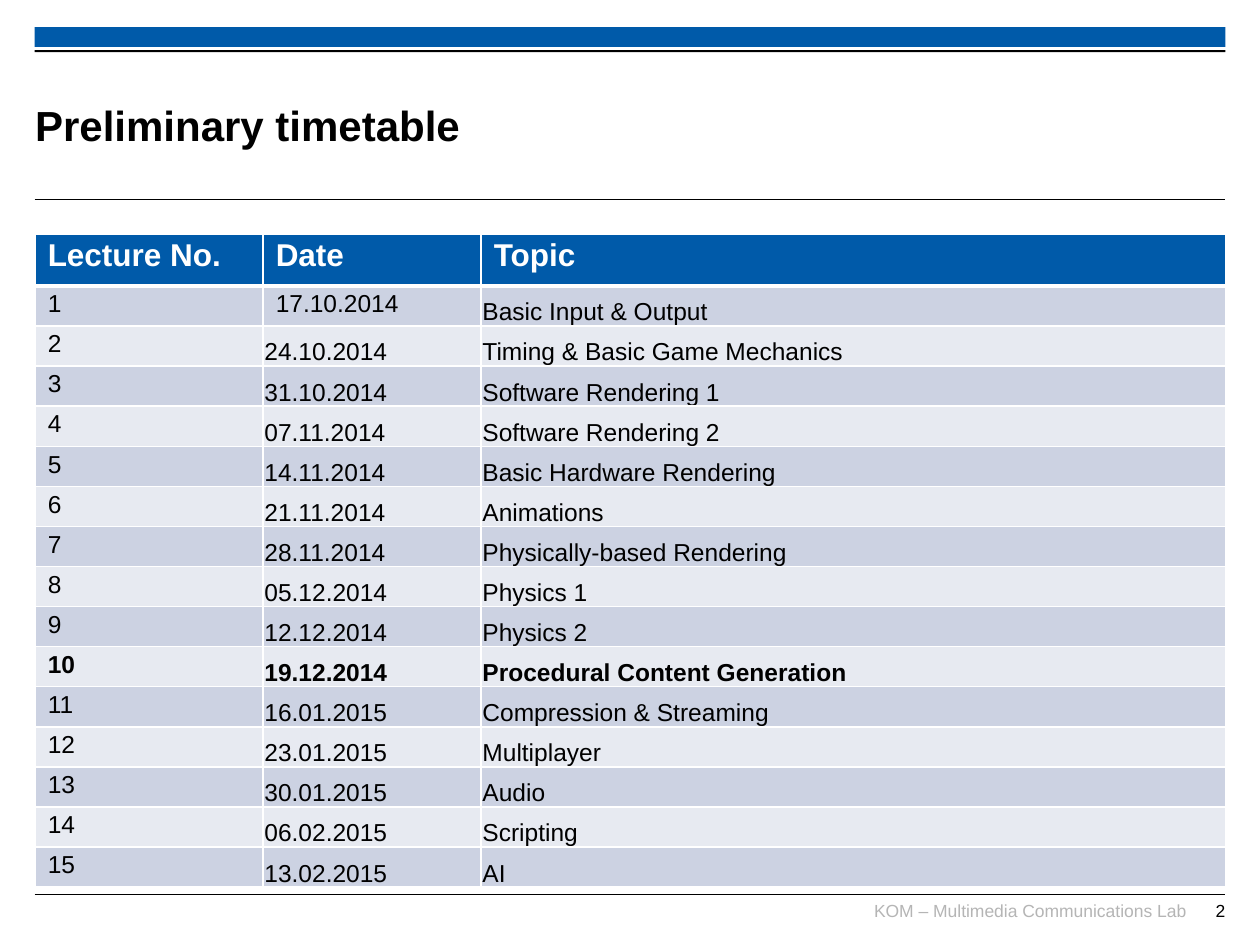
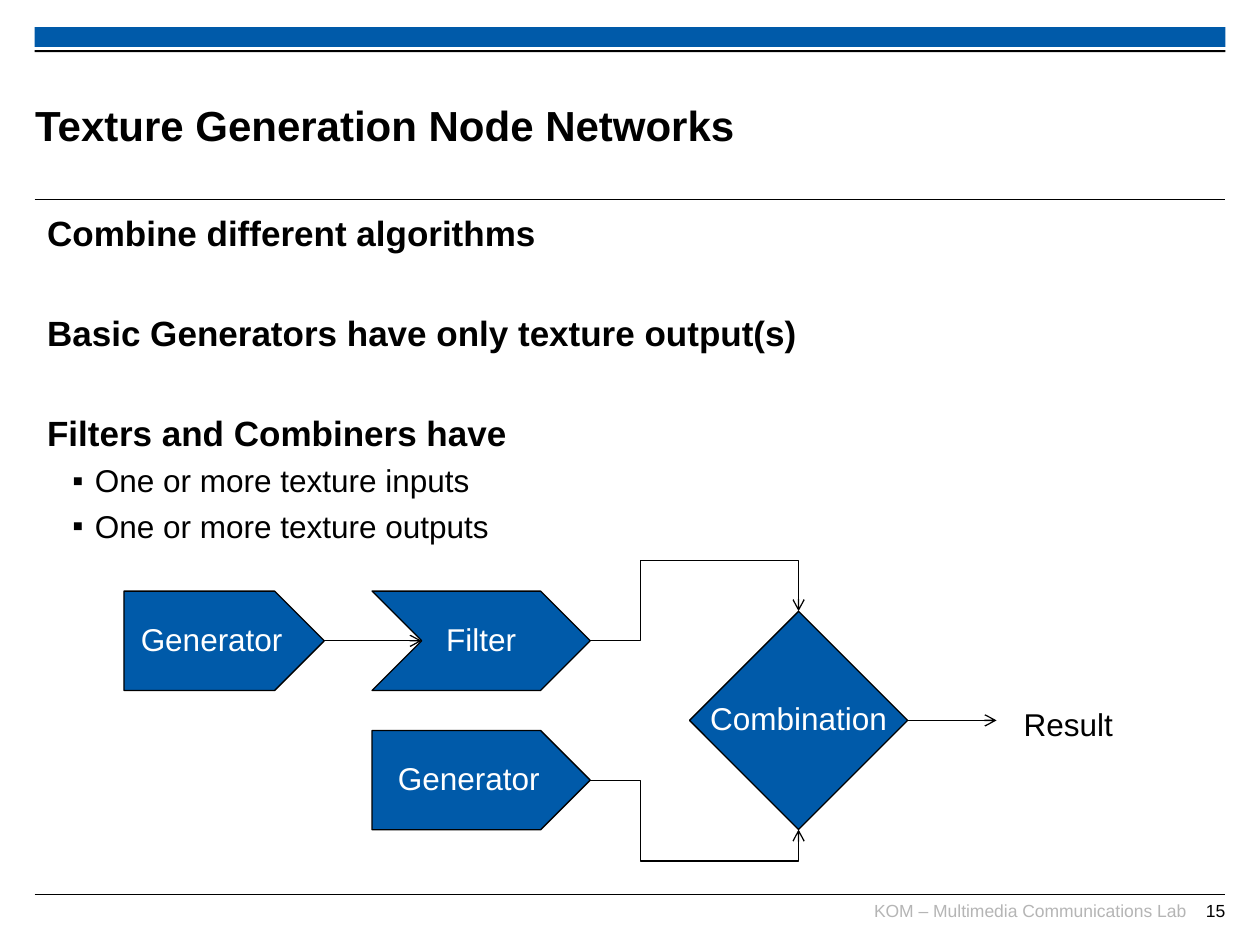
"""Build two lecture slides: a timetable and a texture node network."""
from dataclasses import dataclass

from lxml import etree
from pptx import Presentation
from pptx import util as u
from pptx.dml import color
from pptx.enum import shapes, text
from pptx.oxml import ns


@dataclass(frozen=True)
class Theme:
    font: str = "Arial"
    blue: str = "005AA9"
    black: str = "000000"
    white: str = "FFFFFF"
    grey: str = "B5B5B5"
    bands: tuple = ("CCD2E2", "E7EAF1")
    title_size: float = 24
    heading_size: float = 20
    label_size: float = 18
    cell_size: float = 14
    footer_size: float = 10
    tight: float = 0.93
    left: float = 19.8
    width: float = 680.4


THEME = Theme()
SHAPE = shapes.MSO_SHAPE
ALIGN = text.PP_ALIGN
ANCHOR = text.MSO_ANCHOR
TOP, LEFT, BOTTOM, RIGHT = range(4)

TOPICS = [
    ("17.10.2014", "Basic Input & Output"),
    ("24.10.2014", "Timing & Basic Game Mechanics"),
    ("31.10.2014", "Software Rendering 1"),
    ("07.11.2014", "Software Rendering 2"),
    ("14.11.2014", "Basic Hardware Rendering"),
    ("21.11.2014", "Animations"),
    ("28.11.2014", "Physically-based Rendering"),
    ("05.12.2014", "Physics 1"),
    ("12.12.2014", "Physics 2"),
    ("19.12.2014", "Procedural Content Generation"),
    ("16.01.2015", "Compression & Streaming"),
    ("23.01.2015", "Multiplayer"),
    ("30.01.2015", "Audio"),
    ("06.02.2015", "Scripting"),
    ("13.02.2015", "AI"),
]
CURRENT_LECTURE = 10


def points(*values):
    return [u.Pt(value) for value in values]


def rgb(value):
    return color.RGBColor.from_string(value)


def add_child(parent, tag, **attributes):
    return etree.SubElement(parent, ns.qn(tag), **attributes)


def write(frame, content, size=THEME.label_size, ink=THEME.black, bold=False,
          align=ALIGN.LEFT, before=0, spacing=None, bullet=None):
    """Fill the frame's empty first paragraph, or append another one."""
    para = frame.paragraphs[0]
    if para.runs:
        para = frame.add_paragraph()
    if bullet:
        para.level = 1
        properties = para._p.get_or_add_pPr()
        properties.set("marL", str(u.Pt(27.36)))
        properties.set("indent", str(u.Pt(-12.96)))
        add_child(properties, "a:buFont", typeface=THEME.font)
        add_child(properties, "a:buChar", char=bullet)
    para.alignment = align
    para.space_before = u.Pt(before)
    if spacing:
        para.line_spacing = spacing
    span = para.add_run()
    span.text = content
    span.font.name = THEME.font
    span.font.size = u.Pt(size)
    span.font.bold = bold
    span.font.color.rgb = rgb(ink)


def add_box(page, place, inset=True, wrap=True, anchor=ANCHOR.TOP):
    frame = page.shapes.add_textbox(*points(*place)).text_frame
    frame.word_wrap = wrap
    frame.vertical_anchor = anchor
    if not inset:
        frame.margin_left = frame.margin_right = 0
        frame.margin_top = frame.margin_bottom = 0
    return frame


def add_shape(page, kind, place, fill, outline=None):
    shape = page.shapes.add_shape(kind, *points(*place))
    shape.shadow.inherit = False
    shape.fill.solid()
    shape.fill.fore_color.rgb = rgb(fill)
    if outline:
        shape.line.color.rgb = rgb(THEME.black)
        shape.line.width = u.Pt(outline)
    else:
        shape.line.fill.background()
    return shape


def add_line(page, start, end, width=0.75, kind=shapes.MSO_CONNECTOR.STRAIGHT, arrow=False):
    line = page.shapes.add_connector(kind, *points(*start, *end))
    line.line.color.rgb = rgb(THEME.black)
    line.line.width = u.Pt(width)
    properties = line._element.spPr
    if arrow:
        add_child(properties.find(ns.qn("a:ln")), "a:tailEnd", type="arrow")
    add_child(properties, "a:effectLst")
    return line


def add_node(page, kind, place, label):
    node = add_shape(page, kind, place, THEME.blue, outline=0.75)
    frame = node.text_frame
    frame.word_wrap = False
    frame.vertical_anchor = ANCHOR.MIDDLE
    write(frame, label, ink=THEME.white, align=ALIGN.CENTER, spacing=THEME.tight)
    return node


def add_elbow(page, source, target, site, bends):
    """Join the source's right side to a site of the target with three bends."""
    elbow = add_line(page, (0, 0), (1, 1), kind=shapes.MSO_CONNECTOR.ELBOW, arrow=True)
    elbow.begin_connect(source, RIGHT)
    elbow.end_connect(target, site)
    geometry = elbow._element.spPr.find(ns.qn("a:prstGeom"))
    geometry.set("prst", "bentConnector4")
    guides = geometry.find(ns.qn("a:avLst"))
    if guides is None:
        guides = add_child(geometry, "a:avLst")
    for number, bend in enumerate(bends, 1):
        add_child(guides, "a:gd", name=f"adj{number}", fmla=f"val {round(bend * 100000)}")


def add_page(deck, title, number):
    page = deck.slides.add_slide(deck.slide_layouts[6])
    left, width = THEME.left, THEME.width
    right = left + width
    add_shape(page, SHAPE.RECTANGLE, (left, 15.5, width, 11.4), THEME.blue)
    add_shape(page, SHAPE.RECTANGLE, (left, 28.6, width, 1.2), THEME.black)
    for y in (114.2, 511.2):
        add_line(page, (left, y), (right, y), width=0.6)
    footer = add_box(page, (490.5, 514.1, 187.2, 18), inset=False)
    write(footer, "KOM – Multimedia Communications Lab", size=THEME.footer_size,
          ink=THEME.grey, align=ALIGN.RIGHT)
    corner = add_box(page, (right - 31, 514.1, 31, 17.3), inset=False)
    write(corner, str(number), size=THEME.footer_size, align=ALIGN.RIGHT)
    heading = add_box(page, (20.1, 38.2, 541.4, 66.2), inset=False, anchor=ANCHOR.MIDDLE)
    write(heading, title, size=THEME.title_size, bold=True)
    return page


def style_cell(cell, fill, top=1, bottom=1):
    """Give the cell white borders and a solid fill."""
    properties = cell._tc.get_or_add_tcPr()
    for side, width in (("L", 1), ("R", 1), ("T", top), ("B", bottom)):
        border = add_child(properties, f"a:ln{side}", w=str(u.Pt(width)))
        add_child(add_child(border, "a:solidFill"), "a:srgbClr", val=THEME.white)
    cell.fill.solid()
    cell.fill.fore_color.rgb = rgb(fill)


def sink_text(cell):
    """Set the cell's text at its bottom left corner."""
    cell.vertical_anchor = ANCHOR.BOTTOM
    cell.margin_left = cell.margin_right = cell.margin_top = u.Pt(0.72)
    cell.margin_bottom = 0


def add_timetable(page):
    header_height, row_height = 29.5, 22.92
    height = header_height + row_height * len(TOPICS)
    frame = page.shapes.add_table(len(TOPICS) + 1, 3,
                                  *points(20.1, 133.9, THEME.width, height))
    table = frame.table
    table.horz_banding = False
    for column, width in zip(table.columns, (130.3, 124.6, 425.5)):
        column.width = u.Pt(width)
    for row in table.rows:
        row.height = u.Pt(row_height)
    table.rows[0].height = u.Pt(header_height)

    for column, label in enumerate(("Lecture No.", "Date", "Topic")):
        cell = table.cell(0, column)
        style_cell(cell, THEME.blue, bottom=3)
        write(cell.text_frame, label, ink=THEME.white, bold=True, spacing=THEME.tight)
    for lecture, (date, topic) in enumerate(TOPICS, 1):
        for column, entry in enumerate((str(lecture), date, topic)):
            cell = table.cell(lecture, column)
            style_cell(cell, THEME.bands[(lecture - 1) % 2], top=3 if lecture == 1 else 1)
            if column == 2 or (column == 1 and lecture > 1):
                sink_text(cell)
            write(cell.text_frame, entry, size=THEME.cell_size,
                  bold=lecture == CURRENT_LECTURE, spacing=THEME.tight)


def add_statements(page):
    body = add_box(page, (THEME.left, 117.6, THEME.width, 391))
    headings = ("Combine different algorithms",
                "Basic Generators have only texture output(s)",
                "Filters and Combiners have")
    for index, heading in enumerate(headings):
        write(body, heading, size=THEME.heading_size, bold=True, before=33 if index else 0)
    for item in ("One or more texture inputs", "One or more texture outputs"):
        write(body, item, before=4.4, bullet="▪")


def add_network(page):
    upper, lower, height = 337.8, 417.4, 56.8
    column, width = 212.6, 124.7
    generator = add_node(page, SHAPE.PENTAGON, (70.8, upper, 114.5, height), "Generator")
    image_filter = add_node(page, SHAPE.CHEVRON, (column, upper, width, height), "Filter")
    combination = add_node(page, SHAPE.DIAMOND, (394, 349.3, width, width), "Combination")
    second = add_node(page, SHAPE.PENTAGON, (column, lower, width, height), "Generator")

    middle = upper + height / 2
    feed = add_line(page, (185.3, middle), (column, middle), arrow=True)
    feed.begin_connect(generator, RIGHT)
    feed.end_connect(image_filter, LEFT)
    feed.end_x = u.Pt(column + height / 2)
    add_elbow(page, image_filter, combination, TOP, (0.24, 2.72))
    add_elbow(page, second, combination, BOTTOM, (0.24, 1.64))
    centre = 349.3 + width / 2
    output = add_line(page, (394 + width, centre), (569.5, centre), arrow=True)
    output.begin_connect(combination, RIGHT)

    result = add_box(page, (577.4, 401, 66.2, 28), wrap=False)
    write(result, "Result", align=ALIGN.CENTER, spacing=THEME.tight)


def main():
    deck = Presentation()
    deck.slide_width, deck.slide_height = points(720, 540)
    add_timetable(add_page(deck, "Preliminary timetable", 2))
    page = add_page(deck, "Texture Generation Node Networks", 15)
    add_statements(page)
    add_network(page)
    deck.save("out.pptx")


if __name__ == "__main__":
    main()
